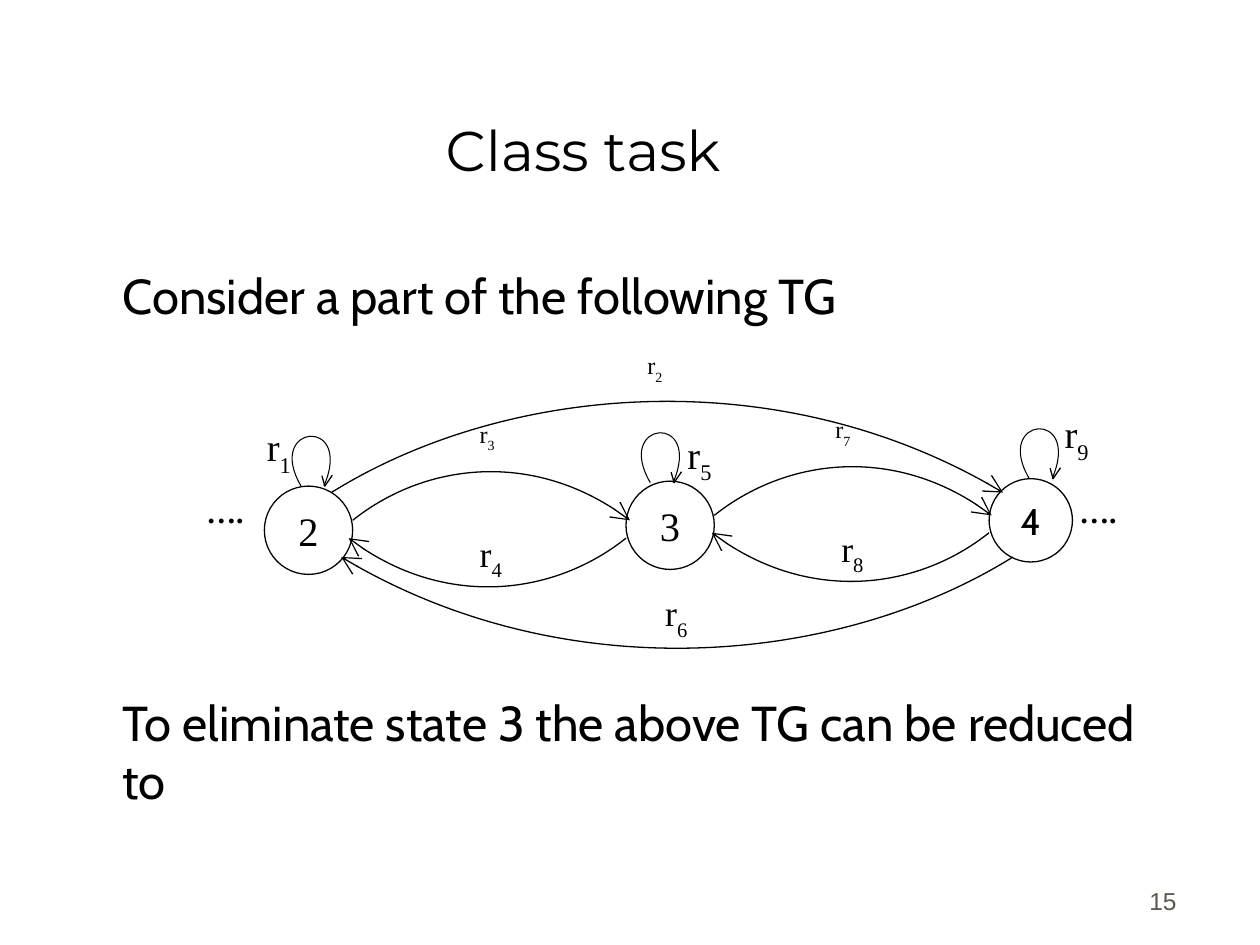
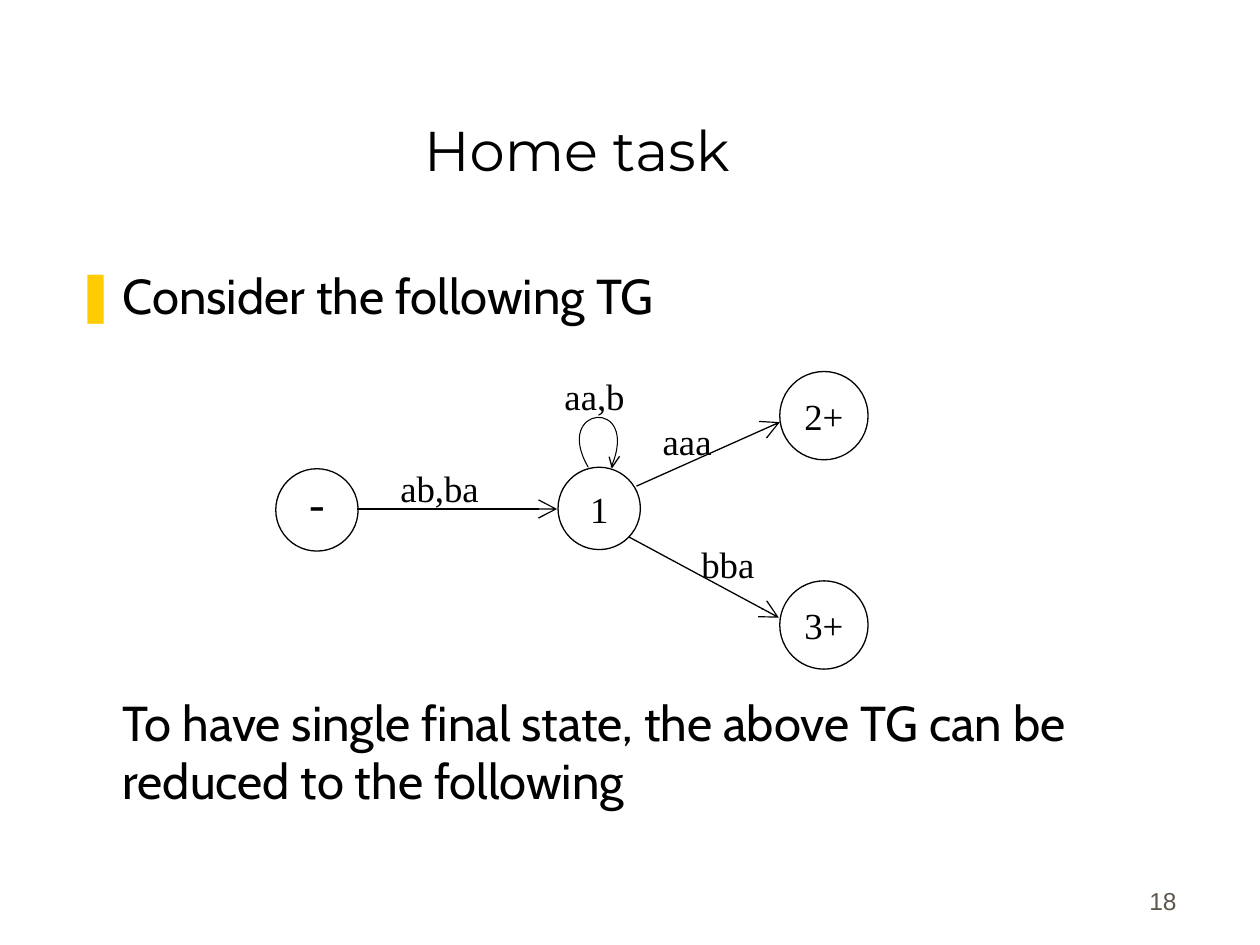
from lxml.etree import SubElement
from pptx import Presentation
from pptx.dml.color import RGBColor
from pptx.enum.shapes import MSO_CONNECTOR as Connector, MSO_SHAPE as Shape
from pptx.enum.text import MSO_ANCHOR as Anchor, MSO_AUTO_SIZE as AutoSize, PP_ALIGN as Align
from pptx.oxml.ns import qn
from pptx.util import Cm, Pt

BLACK = RGBColor(0x00, 0x00, 0x00)
WHITE = RGBColor(0xFF, 0xFF, 0xFF)
GRAY = RGBColor(0x5E, 0x57, 0x4E)
YELLOW = RGBColor(0xFF, 0xCC, 0x00)

TITLE_FONT, BODY_FONT = "Montserrat", "Cabin"
GRAPH_FONT, NUMBER_FONT = "Times New Roman", "Arial"


def write(para, text, *, font=GRAPH_FONT, size=21, color=BLACK, bold=False, subscript=False):
    """Add one formatted run to a paragraph."""
    span = para.add_run()
    span.text = text
    span.font.name = font
    span.font.size = Pt(size)
    span.font.color.rgb = color
    span.font.bold = bold
    if subscript:
        span._r.get_or_add_rPr().set("baseline", "-30000")


class GraphDeck:
    """Slides with a title, two statements and a transition graph between them."""

    TITLE_AREA = (1.12, 0.64, 21.59, 3.18)
    BODY_AREA = (1.27, 5.23, 22.71, 11.58)
    NUMBER_AREA = (18.69, 17.3, 5.28, 1.27)
    INDENT = 0.95
    GRAPH_GAP = 210  # points left free for the graph

    def __init__(self):
        self.deck = Presentation()
        self.deck.slide_width, self.deck.slide_height = Cm(25.4), Cm(19.05)
        self.page = None

    # Text
    def new_page(self, title, number, title_inset):
        self.page = self.deck.slides.add_slide(self.deck.slide_layouts[1])
        frame = self.place(self.page.shapes.title, self.TITLE_AREA)
        frame.vertical_anchor = Anchor.BOTTOM
        frame.margin_right = Cm(title_inset)
        frame.paragraphs[0].alignment = Align.CENTER
        write(frame.paragraphs[0], title, font=TITLE_FONT, size=32)

        frame = self.text_box(*self.NUMBER_AREA)
        frame.vertical_anchor = Anchor.BOTTOM
        frame.paragraphs[0].alignment = Align.RIGHT
        write(frame.paragraphs[0], number, font=NUMBER_FONT, size=14, color=GRAY)

    @staticmethod
    def place(holder, area):
        holder.left, holder.top, holder.width, holder.height = map(Cm, area)
        holder.text_frame.auto_size = AutoSize.NONE
        return holder.text_frame

    def statements(self, above, below, bullet=None):
        frame = self.place(self.page.placeholders[1], self.BODY_AREA)
        first, second = frame.paragraphs[0], frame.add_paragraph()
        self.indent(first, bullet)
        self.indent(second)
        first.space_before = Pt(0)
        second.space_before = Pt(self.GRAPH_GAP)
        write(first, above, font=BODY_FONT, size=28)
        write(second, below, font=BODY_FONT, size=28)

    def indent(self, para, bullet=None):
        props = para._p.get_or_add_pPr()
        props.set("marL", str(Cm(self.INDENT)))
        props.set("indent", str(-Cm(self.INDENT) if bullet else 0))
        if bullet:
            tint = SubElement(props, qn("a:buClr"))
            SubElement(tint, qn("a:srgbClr")).set("val", str(YELLOW))
            SubElement(props, qn("a:buChar")).set("char", bullet)
        else:
            SubElement(props, qn("a:buNone"))

    def text_box(self, left, top, width, height):
        box = self.page.shapes.add_textbox(Cm(left), Cm(top), Cm(width), Cm(height))
        box.text_frame.word_wrap = True
        return box.text_frame

    def label(self, left, top, text, index=None, width=2.5, height=1.5, spacing=1.0, **style):
        para = self.text_box(left, top, width, height).paragraphs[0]
        para.line_spacing = spacing
        write(para, text, **style)
        if index:
            write(para, index, subscript=True, **style)

    # Graph
    def state(self, left, top, diameter, name, lift=0, **style):
        circle = self.page.shapes.add_shape(
            Shape.OVAL, Cm(left), Cm(top), Cm(diameter), Cm(diameter))
        circle.shadow.inherit = False
        circle.fill.solid()
        circle.fill.fore_color.rgb = WHITE
        self.stroke(circle)
        frame = circle.text_frame
        frame.word_wrap = False
        frame.margin_left = frame.margin_right = frame.margin_top = 0
        frame.margin_bottom = Cm(lift)
        frame.vertical_anchor = Anchor.MIDDLE
        frame.paragraphs[0].alignment = Align.CENTER
        write(frame.paragraphs[0], name, **style)

    @staticmethod
    def stroke(item, width=0.75, arrow=False):
        item.line.color.rgb = BLACK
        item.line.width = Pt(width)
        if arrow:
            end = SubElement(item._element.spPr.find(qn("a:ln")), qn("a:tailEnd"))
            for name, value in (("type", "arrow"), ("w", "lg"), ("len", "lg")):
                end.set(name, value)

    def outline(self, points, curved=False, **line):
        start, *others = [(Cm(x), Cm(y)) for x, y in points]
        builder = self.page.shapes.build_freeform(*start)
        builder.add_line_segments(others, close=False)
        figure = builder.convert_to_shape()
        figure.shadow.inherit = False
        figure.fill.background()
        self.stroke(figure, **line)
        if curved:  # the three line ends become the points of one cubic curve
            track = figure._element.find(".//" + qn("a:path"))
            segments = track.findall(qn("a:lnTo"))
            curve = SubElement(track, qn("a:cubicBezTo"))
            for segment in segments:
                curve.append(segment[0])
                track.remove(segment)

    def arc(self, x, y, reach, rise):
        shares = ((0, 0), (0.255, 0.8), (0.67, 1), (1, 0))
        points = [(x + reach * across, y - rise * up) for across, up in shares]
        self.outline(points, curved=True, arrow=True)

    def loop(self, x, y):
        bow = ((0, 0), (-0.74, -1.26), (1.07, -1.42), (0.46, 0))
        head = ((0.63, -0.22), (0.48, 0), (0.42, -0.21))
        self.outline([(x + dx, y + dy) for dx, dy in bow], curved=True, width=0.6)
        self.outline([(x + dx, y + dy) for dx, dy in head])

    def arrow(self, *ends):
        line = self.page.shapes.add_connector(Connector.STRAIGHT, *map(Cm, ends))
        self.stroke(line, arrow=True)
        SubElement(line._element.spPr, qn("a:effectLst"))


def class_task(graph):
    graph.new_page("Class task", "15", title_inset=0.57)
    graph.statements("Consider a part of the following TG",
                     "To eliminate state 3 the above TG can be reduced to")

    # States and their loops
    graph.state(5.33, 9.8, 1.78, "2", size=23.1)
    graph.state(12.62, 9.7, 1.78, "3", size=23.1)
    graph.state(19.94, 9.65, 1.68, "4", size=21.2, font=BODY_FONT)
    for x, y in ((6.07, 9.8), (13.11, 9.73), (20.75, 9.65)):
        graph.loop(x, y)

    # Transitions: forward above, backward below
    for x, y, reach, rise in ((7.11, 10.49, 5.59, 1.42), (14.4, 10.39, 5.59, 1.42),
                              (6.68, 9.93, 13.54, 2.69)):
        graph.arc(x, y, reach, rise)
    for x, y, reach, drop in ((12.62, 10.85, 5.59, 1.42), (19.94, 10.74, 5.59, 1.42),
                              (20.42, 11.23, 13.54, 2.69)):
        graph.arc(x, y, -reach, -drop)

    # Transition labels, by text size
    loops = (("1", 5.13, 8.41), ("5", 13.61, 8.56), ("9", 21.21, 8.15))
    backward = (("4", 9.42, 10.59), ("8", 16.71, 10.49), ("6", 13.16, 11.79))
    forward = (("3", 9.42, 8.38), ("7", 16.59, 8.28), ("2", 12.8, 6.99))
    for group, size, spacing, width in ((loops, 22, 1.0, 2.49), (backward, 20.4, 0.9, 1.24),
                                        (forward, 13.8, 0.8, 1.04)):
        for index, left, top in group:
            graph.label(left, top, "r", index, width=width, spacing=spacing, size=size)
    for left in (3.91, 21.51):
        graph.label(left, 9.96, "….", width=1.93, height=1.07, spacing=0.8, size=17.1, bold=True)


def home_task(graph):
    graph.new_page("Home task", "18", title_inset=0.82)
    graph.statements("Consider the following TG",
                     "To have single final state, the above TG can be reduced to the following",
                     bullet="❚")

    # States
    graph.state(5.56, 9.45, 1.66, "-", lift=0.32, size=26.8)
    graph.state(11.25, 9.42, 1.66, "1")
    graph.state(15.72, 7.49, 1.78, "2+")
    graph.state(15.72, 11.71, 1.78, "3+")

    # Transitions
    graph.loop(11.86, 9.42)
    graph.arrow(7.19, 10.26, 11.23, 10.26)
    graph.arrow(12.83, 9.8, 15.72, 8.51)
    graph.arrow(12.67, 10.82, 15.7, 12.45)
    for text, left, top in (("ab,ba", 7.82, 9.27), ("aa,b", 11.13, 7.42),
                            ("aaa", 13.11, 8.31), ("bba", 13.89, 10.8)):
        graph.label(left, top, text)


def main():
    graph = GraphDeck()
    class_task(graph)
    home_task(graph)
    graph.deck.save("out.pptx")


if __name__ == "__main__":
    main()
